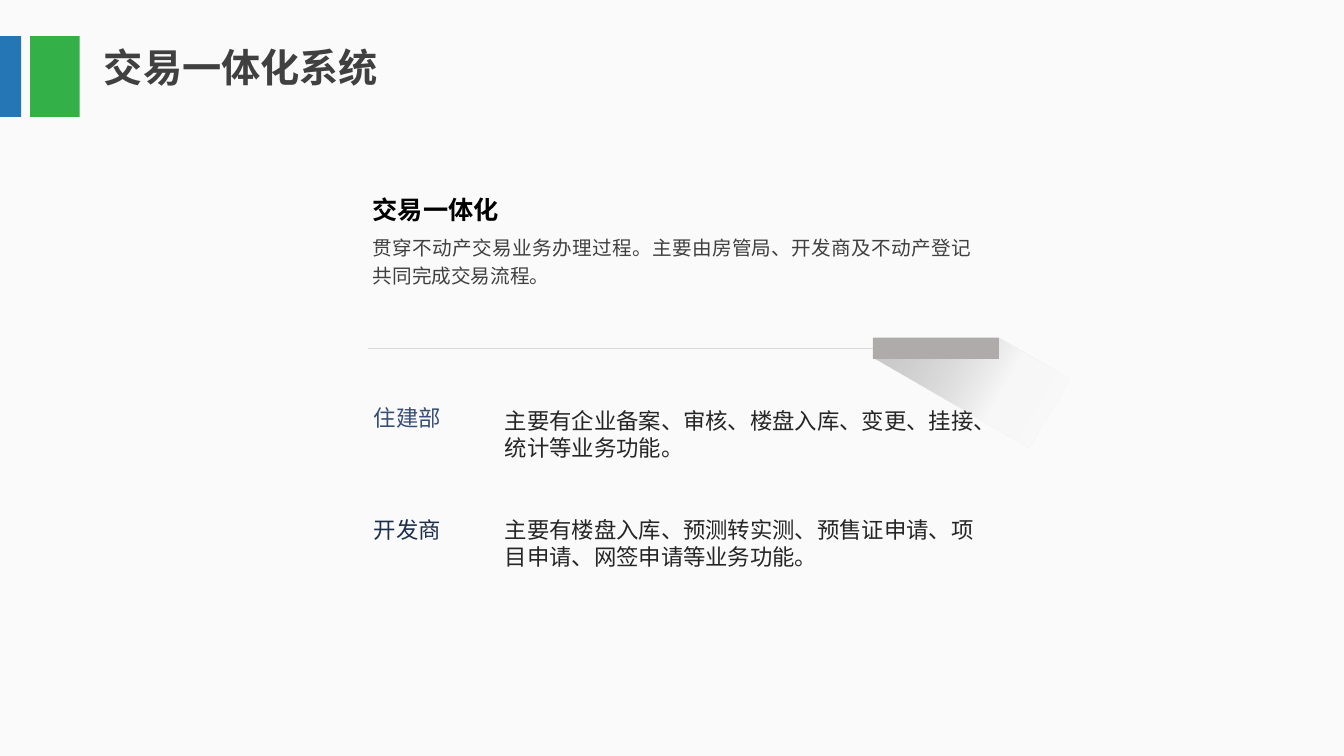
import dataclasses

import lxml.etree
import pptx
import pptx.dml.color
import pptx.enum.shapes
import pptx.enum.text
import pptx.oxml.ns
import pptx.util

Pt = pptx.util.Pt
ALIGN = pptx.enum.text.PP_ALIGN
FONT = "Noto Sans CJK SC"
HUES = {
    "back": "FAFAFA", "green": "33B048", "blue": "2576B5", "bar": "AFABAB",
    "rule": "D9D9D9", "grey": "404040", "black": "000000", "dark": "262626",
    "steel": "364D76", "navy": "1D2E4B", "shade": "000000", "fade": "F2F2F2",
}


@dataclasses.dataclass
class Block:
    left: float
    top: float
    width: float
    height: float
    hue: str


@dataclasses.dataclass
class Label(Block):
    text: str
    size: float
    bold: bool = False
    align: ALIGN = ALIGN.LEFT
    space: float = 1.0


def get_hue(name: str) -> pptx.dml.color.RGBColor:
    return pptx.dml.color.RGBColor.from_string(HUES[name])


def add_tag(node, tag: str, **attrs: str):
    return lxml.etree.SubElement(node, pptx.oxml.ns.qn(tag), **attrs)


def place(shape, block: Block) -> None:
    shape.left, shape.top = Pt(block.left), Pt(block.top)
    shape.width, shape.height = Pt(block.width), Pt(block.height)


def write(shape, label: Label) -> None:
    place(shape, label)
    frame = shape.text_frame
    frame.text = label.text
    frame.word_wrap = True
    frame.auto_size = pptx.enum.text.MSO_AUTO_SIZE.SHAPE_TO_FIT_TEXT
    frame.vertical_anchor = pptx.enum.text.MSO_ANCHOR.TOP
    para = frame.paragraphs[0]
    para.alignment, para.line_spacing = label.align, label.space
    font = para.font
    font.size, font.bold, font.name = Pt(label.size), label.bold, FONT
    font.color.rgb = get_hue(label.hue)
    # East Asian typeface
    add_tag(para._p.pPr.defRPr, "a:ea", typeface=FONT)


def add_block(slide, block: Block):
    kind = pptx.enum.shapes.MSO_SHAPE.RECTANGLE
    shape = slide.shapes.add_shape(kind, 0, 0, 0, 0)
    place(shape, block)
    shape.shadow.inherit = False
    shape.fill.solid()
    shape.fill.fore_color.rgb = get_hue(block.hue)
    shape.line.fill.background()
    return shape


def add_label(slide, label: Label) -> None:
    write(slide.shapes.add_textbox(0, 0, 0, 0), label)


def add_shade(slide) -> None:
    points = [(623.5, 256.3), (713.5, 241.9), (763.9, 271.4), (735.1, 320.4)]
    build = slide.shapes.build_freeform(*points[0], scale=Pt(1))
    build.add_line_segments(points[1:], close=True)
    shape = build.convert_to_shape()
    shape.shadow.inherit = False
    shape.line.fill.background()
    shape.fill.gradient()
    shape.fill.gradient_angle = 330
    stops = shape._element.spPr.find(pptx.oxml.ns.qn("a:gradFill")).gsLst
    for stop in list(stops):
        stops.remove(stop)
    for spot, hue, alpha in [(0, "shade", 20), (61, "fade", 34), (100, "fade", 0)]:
        stop = add_tag(stops, "a:gs", pos=str(spot * 1000))
        color = add_tag(stop, "a:srgbClr", val=HUES[hue])
        add_tag(color, "a:alpha", val=str(alpha * 1000))


def add_rule(slide, bar) -> None:
    kind = pptx.enum.shapes.MSO_CONNECTOR.STRAIGHT
    level = bar.top + bar.height // 2
    rule = slide.shapes.add_connector(kind, Pt(262.8), level, bar.left, level)
    rule.end_connect(bar, 1)
    rule.line.color.rgb = get_hue("rule")
    rule.line.width = Pt(0.5)
    add_tag(rule._element.spPr, "a:effectLst")


TITLE = Label(67, 27.4, 259.2, 41, "grey", "交易一体化系统", 28, True)
BLOCKS = [
    Block(21.6, 25.9, 35.3, 57.6, "green"),
    Block(0, 25.9, 15.1, 57.6, "blue"),
]
BAR = Block(623.5, 241.2, 90, 15.1, "bar")
INTRO = [
    Label(259.2, 161.3, 442.1, 47.5, "grey",
          "贯穿不动产交易业务办理过程。主要由房管局、开发商及不动产登记共同完成交易流程。",
          14, align=ALIGN.JUSTIFY, space=1.2),
    Label(259.2, 131, 161.3, 33.1, "black", "交易一体化", 18, True, ALIGN.JUSTIFY, 1.2),
]
# Name, its top and hue, then the duty and its top
ROLES = [
    ("住建部", 285.1, "steel",
     "主要有企业备案、审核、楼盘入库、变更、挂接、统计等业务功能。", 287.3),
    ("开发商", 365, "navy",
     "主要有楼盘入库、预测转实测、预售证申请、项目申请、网签申请等业务功能。", 365),
]


def main() -> None:
    deck = pptx.Presentation()
    deck.slide_width, deck.slide_height = Pt(960), Pt(540)
    slide = deck.slides.add_slide(deck.slide_layouts[5])
    slide.background.fill.solid()
    slide.background.fill.fore_color.rgb = get_hue("back")

    # Header
    add_shade(slide)
    write(slide.shapes.title, TITLE)
    for block in BLOCKS:
        add_block(slide, block)

    # Divider
    add_rule(slide, add_block(slide, BAR))

    # Intro and roles
    for label in INTRO:
        add_label(slide, label)
    for name, top, hue, duty, base in ROLES:
        add_label(slide, Label(259.9, top, 93.6, 26.6, hue, name, 16))
        add_label(slide, Label(353.5, base, 359.3, 46.1, "dark", duty, 16))

    deck.save("out.pptx")


if __name__ == "__main__":
    main()
